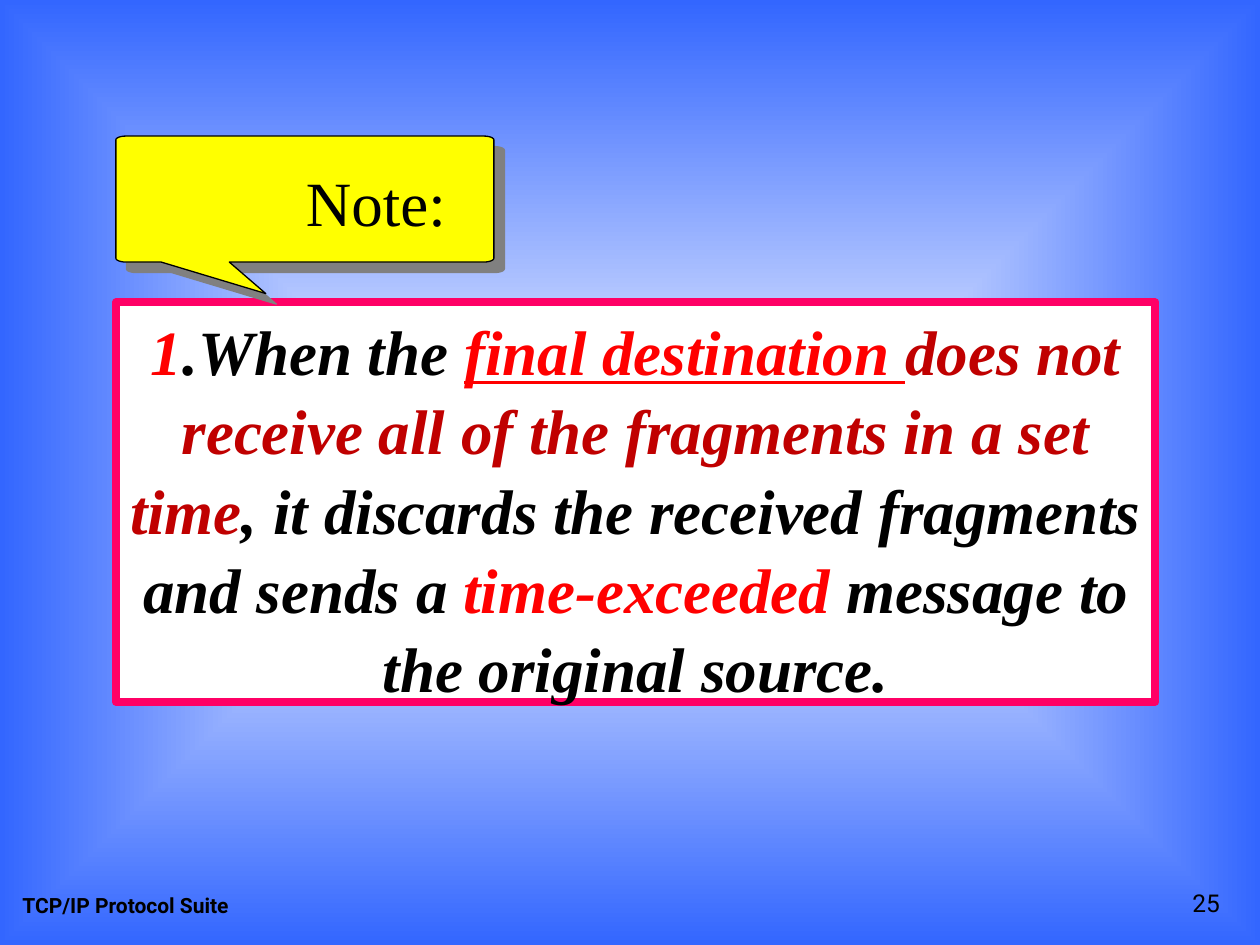
from math import cos, radians, sin

from lxml.etree import SubElement
from pptx import Presentation
from pptx.dml.color import RGBColor
from pptx.enum.shapes import MSO_SHAPE
from pptx.enum.text import MSO_ANCHOR, PP_ALIGN
from pptx.oxml.ns import qn
from pptx.util import Inches, Pt

SERIF, SANS = "Times New Roman", "Roboto"


def color(value):
    return RGBColor.from_string(value)


def add_span(para, text, size=36, font=SERIF, hue="000000", bold=False, italic=False, underline=False):
    span = para.add_run()
    span.text = text
    span.font.size = Pt(size)
    span.font.name = font
    span.font.color.rgb = color(hue)
    span.font.bold = bold
    span.font.italic = italic
    span.font.underline = underline


deck = Presentation()
deck.slide_width, deck.slide_height = Inches(10), Inches(7.5)
page = deck.slides.add_slide(deck.slide_layouts[6])

# Background: white centre fading to blue edges
backdrop = page.background.fill
backdrop.gradient()
for stop, position, hue in zip(backdrop.gradient_stops, (0, 1), ("FFFFFF", "3366FF")):
    stop.position = position
    stop.color.rgb = color(hue)
gradient = page.element.find(".//" + qn("a:gradFill"))
gradient.remove(gradient.find(qn("a:lin")))
shading = SubElement(gradient, qn("a:path"), {"path": "shape"})
SubElement(shading, qn("a:fillToRect"), dict.fromkeys("ltrb", "50000"))

# Framed statement
frame = page.shapes.add_shape(MSO_SHAPE.RECTANGLE, Inches(0.92), Inches(2.4), Inches(8.25), Inches(3.17))
frame.shadow.inherit = False
frame.fill.solid()
frame.fill.fore_color.rgb = color("FFFFFF")
frame.line.color.rgb = color("FF0066")
frame.line.width = Pt(4.5)
frame.text_frame.word_wrap = True
frame.text_frame.vertical_anchor = MSO_ANCHOR.TOP
para = frame.text_frame.paragraphs[0]
para.alignment = PP_ALIGN.CENTER
para.line_spacing = 1.05
for text, hue in [
    ("1", "FF0000"),
    (".When the ", "000000"),
    ("final destination ", "FF0000"),
    ("does not receive all of the fragments in a set time", "C00000"),
    (", it discards the received fragments and sends a ", "000000"),
    ("time-exceeded", "FF0000"),
    (" message to the original source.", "000000"),
]:
    add_span(para, text, hue=hue, bold=True, italic=True, underline=text.startswith("final"))

# Callout with elliptical corners and a tail on its lower edge
left, top, right, bottom = 0.92, 1.08, 3.92, 2.08
corner_x, corner_y = 0.08, 0.03
outline = [(1.28, bottom), (2.11, 2.33), (1.82, bottom)]
corners = [
    (right - corner_x, bottom - corner_y, 90),
    (right - corner_x, top + corner_y, 0),
    (left + corner_x, top + corner_y, -90),
    (left + corner_x, bottom - corner_y, -180),
]
for center_x, center_y, start in corners:
    for step in range(0, 91, 15):
        angle = radians(start - step)
        outline.append((center_x + corner_x * cos(angle), center_y + corner_y * sin(angle)))
points = [(Inches(x), Inches(y)) for x, y in outline]
builder = page.shapes.build_freeform(*points[0])
builder.add_line_segments(points[1:], close=True)
callout = builder.convert_to_shape()
callout.fill.solid()
callout.fill.fore_color.rgb = color("FFFF00")
callout.line.color.rgb = color("000000")
callout.line.width = Pt(0.75)
callout.shadow.inherit = False
effects = callout.element.spPr.find(qn("a:effectLst"))
shadow = SubElement(effects, qn("a:outerShdw"), dist=str(Pt(8.5)), dir="2700000", algn="ctr", rotWithShape="0")
SubElement(shadow, qn("a:srgbClr"), val="808080")

# Callout label, footer and page number
for text, place, anchor, align, wrap, style in [
    ("Note:", (2.33, 1.25, 1.31, 0.7), MSO_ANCHOR.TOP, PP_ALIGN.LEFT, False, {}),
    ("TCP/IP Protocol Suite", (0.08, 6.83, 3.17, 0.5), MSO_ANCHOR.BOTTOM, PP_ALIGN.LEFT, True,
     {"size": 12, "font": SANS, "bold": True}),
    ("25", (7.7, 6.83, 2.08, 0.5), MSO_ANCHOR.BOTTOM, PP_ALIGN.RIGHT, True,
     {"size": 14, "font": SANS}),
]:
    box = page.shapes.add_textbox(*map(Inches, place))
    box.text_frame.word_wrap = wrap
    box.text_frame.vertical_anchor = anchor
    para = box.text_frame.paragraphs[0]
    para.alignment = align
    add_span(para, text, **style)

deck.save("out.pptx")
